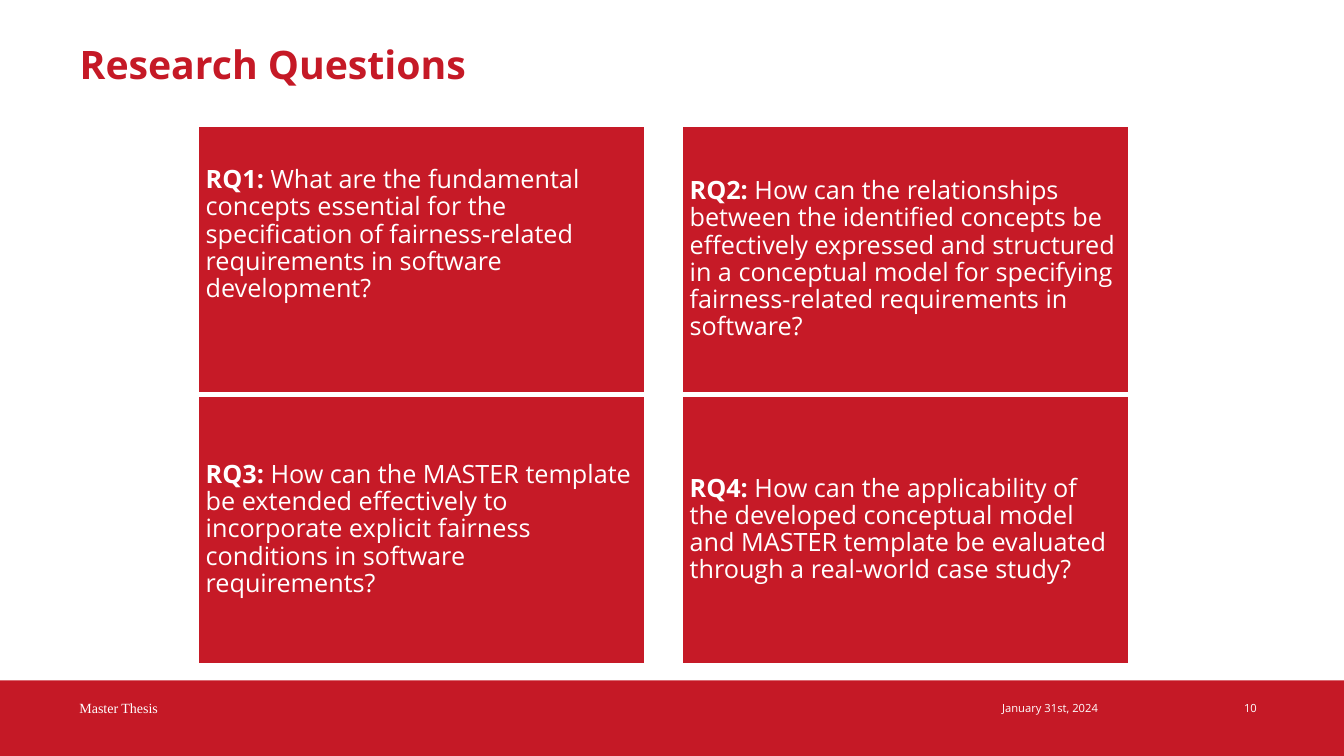
from pptx import Presentation
from pptx.dml.color import RGBColor
from pptx.enum import shapes, text
from pptx.util import Inches, Pt

TITLE = "Research Questions"
# label, question, bottom inset (RQ1 sits higher in its card)
CARDS = [
    ("RQ1: ", "What are the fundamental concepts essential for the specification "
     "of fairness-related requirements in software development?", 0.56),
    ("RQ2: ", "How can the relationships between the identified concepts be "
     "effectively expressed and structured in a conceptual model for specifying "
     "fairness-related requirements in software?", 0.07),
    ("RQ3: ", "How can the MASTER template be extended effectively to incorporate "
     "explicit fairness conditions in software requirements?", 0.07),
    ("RQ4: ", "How can the applicability of the developed conceptual model and "
     "MASTER template be evaluated through a real-world case study?", 0.07),
]
# words, left, top, width, height, size, font
FOOTER = [
    ("Master Thesis", 0.69, 6.89, 4.96, 0.49, 10, "Times New Roman"),
    ("January 31st, 2024", 9.84, 6.91, 1.93, 0.3, 8, "Open Sans"),
    ("10", 12.24, 6.91, 0.72, 0.27, 8, "Open Sans"),
]
COLORS = {"brand": "C51926", "card": "C61A27", "white": "FFFFFF"}
FONT = "Open Sans"
LEFT, TOP, WIDE, HIGH = 1.97, 1.25, 4.42, 2.65
STEP_X, STEP_Y = 4.8, 2.68


def color(name):
    return RGBColor.from_string(COLORS[name])


def style(run, size, tint="white", bold=False, face=FONT):
    run.font.name = face
    run.font.size = Pt(size)
    run.font.bold = bold
    run.font.color.rgb = color(tint)


def block(slide, box, fill):
    shape = slide.shapes.add_shape(shapes.MSO_SHAPE.RECTANGLE, *map(Inches, box))
    shape.shadow.inherit = False
    shape.fill.solid()
    shape.fill.fore_color.rgb = color(fill)
    shape.line.fill.background()
    return shape


def card(slide, box, label, words, base):
    shape = block(slide, box, "card")
    shape.line.color.rgb = color("white")
    shape.line.width = Pt(1)
    frame = shape.text_frame
    frame.word_wrap = True
    frame.vertical_anchor = text.MSO_ANCHOR.MIDDLE
    frame.margin_left = frame.margin_right = frame.margin_top = Inches(0.07)
    frame.margin_bottom = Inches(base)
    para = frame.paragraphs[0]
    para.alignment = text.PP_ALIGN.LEFT
    para.line_spacing = 0.9
    for part, bold in ((label, True), (words, False)):
        run = para.add_run()
        run.text = part
        style(run, 18, bold=bold)


def main():
    deck = Presentation()
    deck.slide_width, deck.slide_height = Inches(13.33), Inches(7.5)
    slide = deck.slides.add_slide(deck.slide_layouts[5])

    # Footer band
    block(slide, (0, 6.75, 13.33, 0.75), "brand")
    for words, x, y, w, h, size, face in FOOTER:
        frame = slide.shapes.add_textbox(*map(Inches, (x, y, w, h))).text_frame
        frame.word_wrap = True
        frame.text = words
        style(frame.paragraphs[0].runs[0], size, face=face)

    # Title
    title = slide.shapes.title
    title.left, title.top = Inches(0.69), Inches(0.4)
    title.width, title.height = Inches(11.5), Inches(1.08)
    frame = title.text_frame
    frame.text = TITLE
    frame.vertical_anchor = text.MSO_ANCHOR.TOP
    para = frame.paragraphs[0]
    para.alignment = text.PP_ALIGN.LEFT
    para.line_spacing = 0.9
    style(para.runs[0], 28, "brand", True)

    # Question cards in a two-by-two grid
    for i, (label, words, base) in enumerate(CARDS):
        row, col = divmod(i, 2)
        box = (LEFT + col * STEP_X, TOP + row * STEP_Y, WIDE, HIGH)
        card(slide, box, label, words, base)

    deck.save("out.pptx")


if __name__ == "__main__":
    main()
